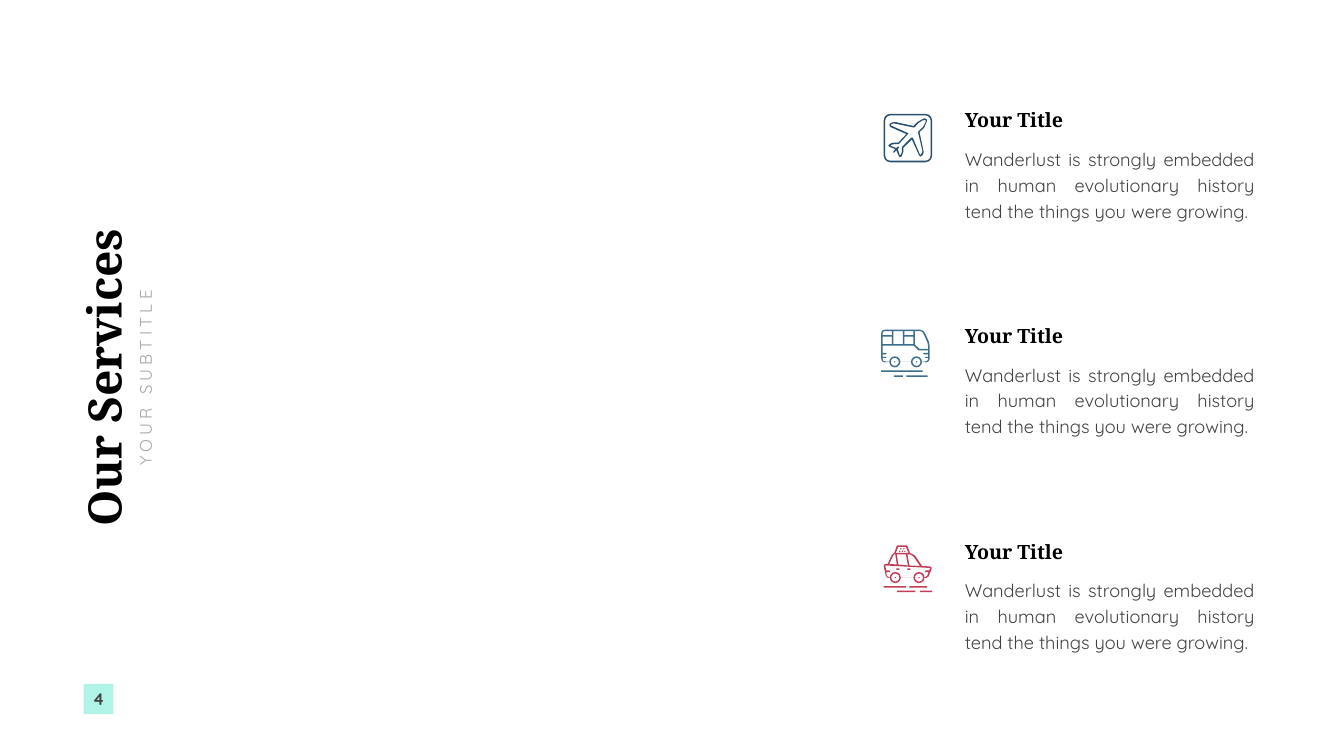
from math import cos, radians, sin

from pptx import Presentation
from pptx.dml.color import RGBColor
from pptx.enum.shapes import MSO_SHAPE
from pptx.enum.text import MSO_ANCHOR, MSO_AUTO_SIZE, PP_ALIGN
from pptx.util import Pt

PX = 9144
BLACK = RGBColor(0x00, 0x00, 0x00)
GREY = RGBColor(0x42, 0x42, 0x42)
SILVER = RGBColor(0xA6, 0xA6, 0xA6)
MINT = RGBColor(0xB0, 0xF3, 0xE7)
NAVY = RGBColor(0x27, 0x4F, 0x6F)
BLUE = RGBColor(0x3A, 0x70, 0x8D)
RED = RGBColor(0xC1, 0x3E, 0x56)

LEFT, CENTER, JUSTIFY = PP_ALIGN.LEFT, PP_ALIGN.CENTER, PP_ALIGN.JUSTIFY
TOP, MIDDLE = MSO_ANCHOR.TOP, MSO_ANCHOR.MIDDLE
GROW = MSO_AUTO_SIZE.SHAPE_TO_FIT_TEXT
RECTANGLE = MSO_SHAPE.RECTANGLE

ROW_TOP, ROW_PITCH = 202, 428
TEXT_LEFT = 1904
SERVICE_TITLE = "Your Title"
SERVICE_TEXT = ("Wanderlust is strongly embedded in human evolutionary history "
                "tend the things you were growing.")

HEADING = {"name": "Noto Serif", "size": Pt(66), "bold": True}
SUBTITLE = {"name": "Quicksand", "size": Pt(24), "bold": False}
NUMBER = {"name": "Quicksand", "size": Pt(24), "bold": True}
ITEM_TITLE = {"name": "Noto Serif", "size": Pt(28), "bold": True}
ITEM_BODY = {"name": "Quicksand", "size": Pt(26), "bold": False}


def emu(*lengths):
    return [round(length * PX) for length in lengths]


def arc(x, y, radius, start, end, steps=6):
    angles = [radians(start + (end - start) * step / steps) for step in range(steps + 1)]
    return [(x + radius * cos(angle), y + radius * sin(angle)) for angle in angles]


def circle(x, y, radius, steps):
    return arc(x, y, radius, 0, 360, steps)[:-1]


def bar(left, top, right, bottom):
    return [(left, top), (right, top), (right, bottom), (left, bottom)]


def rounded(start, end, radius):
    near, far = start + radius, end - radius
    corners = [(far, far), (near, far), (near, near), (far, near)]
    return [point for turn, (x, y) in enumerate(corners)
            for point in arc(x, y, radius, turn * 90, turn * 90 + 90, 3)]


def wheels(*centers):
    return [contour for x in centers
            for contour in (circle(x, 64, 8, 12), circle(x, 64, 1.5, 4))]


def plane_contours():
    outer = [(81, 9), (85, 10), (86, 14), (80, 28), (71, 36), (79, 74), (79, 78),
             (77, 82), (73, 85), (70, 82), (56, 51), (39, 67), (39, 75), (37, 81),
             (35, 85), (32, 86), (30, 84), (25, 72), (21, 77), (19, 77), (19, 75),
             (23, 70), (11, 65), (9, 63), (11, 61), (15, 58), (21, 57), (29, 57),
             (45, 40), (13, 26), (11, 22), (13, 19), (17, 17), (22, 16), (59, 24),
             (67, 16), (76, 11)]
    inner = [(81, 12), (77, 13), (69, 18), (61, 27), (59, 27), (21, 19), (19, 19),
             (14, 21), (14, 23), (48, 38), (49, 39), (48, 40), (31, 59), (28, 60),
             (21, 60), (16, 61), (13, 63), (25, 68), (28, 65), (30, 65), (30, 67),
             (28, 70), (32, 83), (35, 79), (36, 75), (36, 68), (37, 65), (55, 47),
             (57, 47), (58, 48), (72, 81), (73, 82), (76, 77), (77, 74), (68, 36),
             (69, 35), (78, 26), (83, 17), (83, 12)]
    return [rounded(0, 96, 13), rounded(3, 93, 10), outer, inner]


def bus_contours():
    outer = [(7, 0), (77, 0), (83, 2), (87, 7), (95, 25), (96, 33), (96, 58), (94, 63),
             (89, 65), *arc(70, 64, 11, 0, 180), *arc(27, 64, 11, 0, 180), (7, 65),
             (2, 63), (0, 58), (0, 7), (2, 2)]
    lower = [(3, 32), (3, 46), (9, 46), (11, 47), (9, 49), (3, 49), (3, 54), (9, 54),
             (11, 55), (9, 56), (3, 56), (3, 58), (4, 62), (7, 63),
             *arc(27, 64, 11, 180, 360), *arc(70, 64, 11, 180, 360), (89, 63), (92, 61),
             (93, 58), (93, 56), (88, 56), (87, 55), (88, 54), (93, 54), (93, 49),
             (85, 49), (83, 47), (85, 46), (93, 46), (93, 41), (74, 41), (65, 32)]
    windshield = [(67, 3), (67, 30), (76, 38), (93, 38), (93, 33), (92, 26), (84, 8),
                  (81, 4), (77, 3)]
    corner = [(7, 3), (4, 4), (3, 7), (3, 11), (21, 11), (21, 3)]
    windows = [bar(46, 14, 64, 29), bar(3, 14, 21, 29), bar(46, 3, 64, 11),
               bar(24, 3, 43, 29)]
    road = [bar(50, 91, 92, 94), bar(25, 91, 43, 94), bar(0, 81, 82, 84)]
    return [outer, lower, windshield, corner, *windows, *road, *wheels(27, 70)]


def taxi_contours():
    outer = [(28, 0), (45, 0), (47, 1), (52, 15), (62, 20), (76, 41), (92, 42), (95, 44),
             (95, 47), (89, 62), (84, 65), *arc(70, 64, 11, 0, 180),
             *arc(23, 64, 11, 0, 180), (8, 65), (4, 60), (0, 41), (1, 38), (4, 37),
             (8, 37), (16, 19), (21, 15), (26, 1)]
    lower = [(3, 40), (5, 50), (11, 50), (13, 52), (11, 53), (5, 53), (6, 60), (8, 62),
             *arc(23, 64, 11, 180, 360), *arc(70, 64, 11, 180, 360), (84, 62), (86, 61),
             (89, 53), (83, 53), (81, 52), (83, 50), (90, 50), (92, 46), (92, 45)]
    windows = [[(47, 18), (51, 40), (72, 41), (59, 22), (52, 18)],
               [(26, 18), (29, 38), (48, 40), (44, 18)],
               [(21, 18), (19, 20), (11, 37), (26, 38), (23, 18)]]
    sign = [(29, 3), (24, 15), (49, 15), (44, 3)]
    lamps = [circle(x, y, 1.5, 4)
             for x, y in ((42, 12), (37, 12), (32, 12), (40, 7), (34, 7))]
    handles = [bar(47, 46, 53, 49), bar(25, 46, 31, 49)]
    road = [bar(72, 90, 96, 93), bar(26, 90, 63, 93), bar(51, 81, 86, 84),
            bar(0, 81, 44, 84)]
    return [outer, lower, *windows, sign, *lamps, *handles, *road, *wheels(23, 70)]


def paint(shape, color):
    shape.shadow.inherit = False
    shape.fill.solid()
    shape.fill.fore_color.rgb = color
    shape.line.fill.background()


def add_icon(slide, left, top, contours, color):
    placed = [[emu(left + x, top + y) for x, y in contour] for contour in contours]
    builder = slide.shapes.build_freeform(*placed[0][0])
    builder.add_line_segments(placed[0][1:])
    for contour in placed[1:]:
        builder.move_to(*contour[0])
        builder.add_line_segments(contour[1:])
    paint(builder.convert_to_shape(), color)


def write(shape, text, style, color, align=LEFT, anchor=TOP, wrap=False, spacing=None):
    frame = shape.text_frame
    settings = {"word_wrap": wrap, "auto_size": GROW, "vertical_anchor": anchor}
    for key, value in settings.items():
        setattr(frame, key, value)
    para = frame.paragraphs[0]
    para.alignment = align
    para.line_spacing = spacing
    span = para.add_run()
    span.text = text
    for key, value in style.items():
        setattr(span.font, key, value)
    span.font.color.rgb = color
    return span


def add_text(slide, at, text, style, color, **layout):
    box = slide.shapes.add_textbox(*emu(*at))
    return box, write(box, text, style, color, **layout)


def add_service(slide, top, icon_left, contours, color):
    add_icon(slide, icon_left, top + 24, contours, color)
    add_text(slide, (TEXT_LEFT, top, 220, 63), SERVICE_TITLE, ITEM_TITLE, BLACK,
             anchor=MIDDLE, spacing=1.2)
    add_text(slide, (TEXT_LEFT, top + 79, 595, 164), SERVICE_TEXT, ITEM_BODY, GREY,
             align=JUSTIFY, wrap=True, spacing=Pt(37))


def add_heading(slide):
    title = slide.shapes.title
    title.left, title.top, title.width, title.height = emu(-104, 689, 618, 121)
    title.rotation = 270
    write(title, "Our Services", HEADING, BLACK, align=CENTER)
    box, span = add_text(slide, (95, 725, 386, 50), "YOUR SUBTITLE", SUBTITLE, SILVER,
                         align=CENTER)
    box.rotation = 270
    span.font._element.set("spc", "600")


def add_page_number(slide):
    badge = slide.shapes.add_shape(RECTANGLE, *emu(166, 1357, 59, 60))
    paint(badge, MINT)
    write(badge, "4", NUMBER, GREY, align=CENTER, anchor=MIDDLE)


def main():
    deck = Presentation()
    deck.slide_width, deck.slide_height = emu(2666, 1500)
    page = deck.slides.add_slide(deck.slide_layouts[5])
    add_page_number(page)
    add_heading(page)
    services = [(1753, plane_contours(), NAVY), (1748, bus_contours(), BLUE),
                (1753, taxi_contours(), RED)]
    for row, service in enumerate(services):
        add_service(page, ROW_TOP + row * ROW_PITCH, *service)
    deck.save("out.pptx")


if __name__ == "__main__":
    main()
